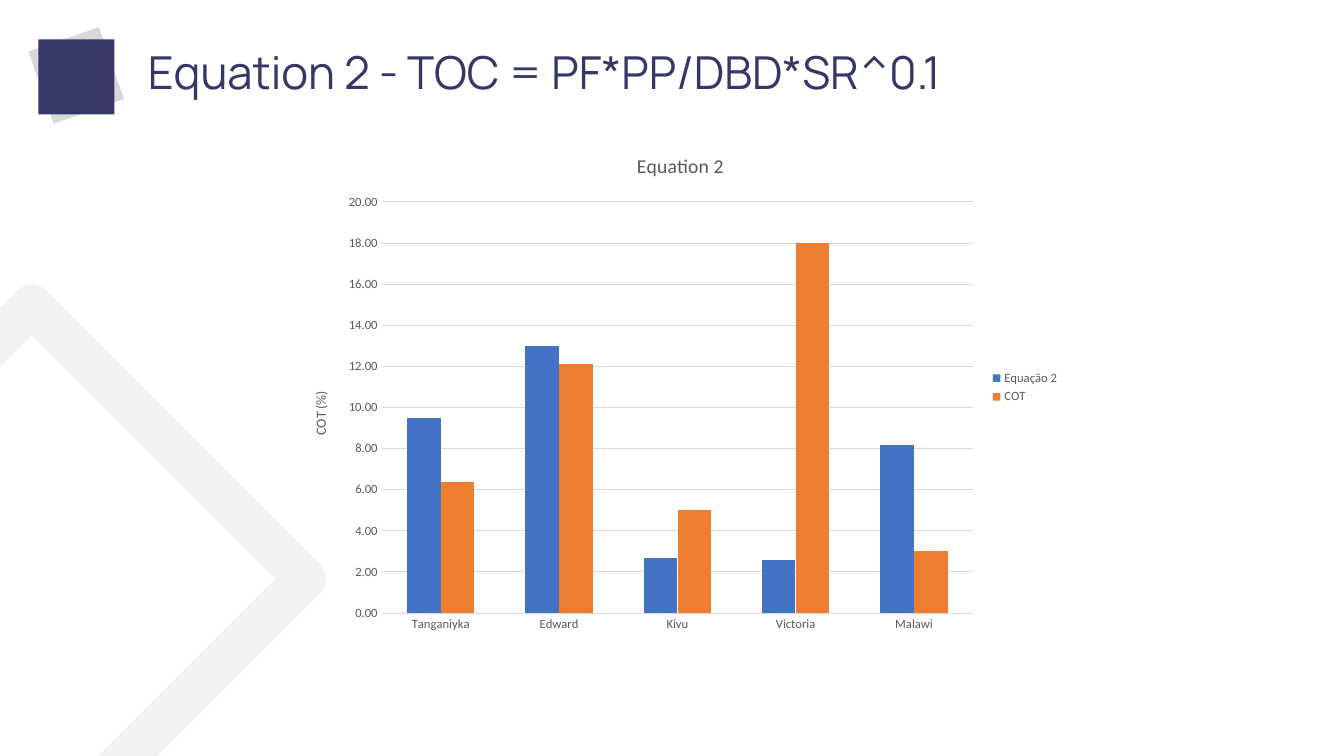
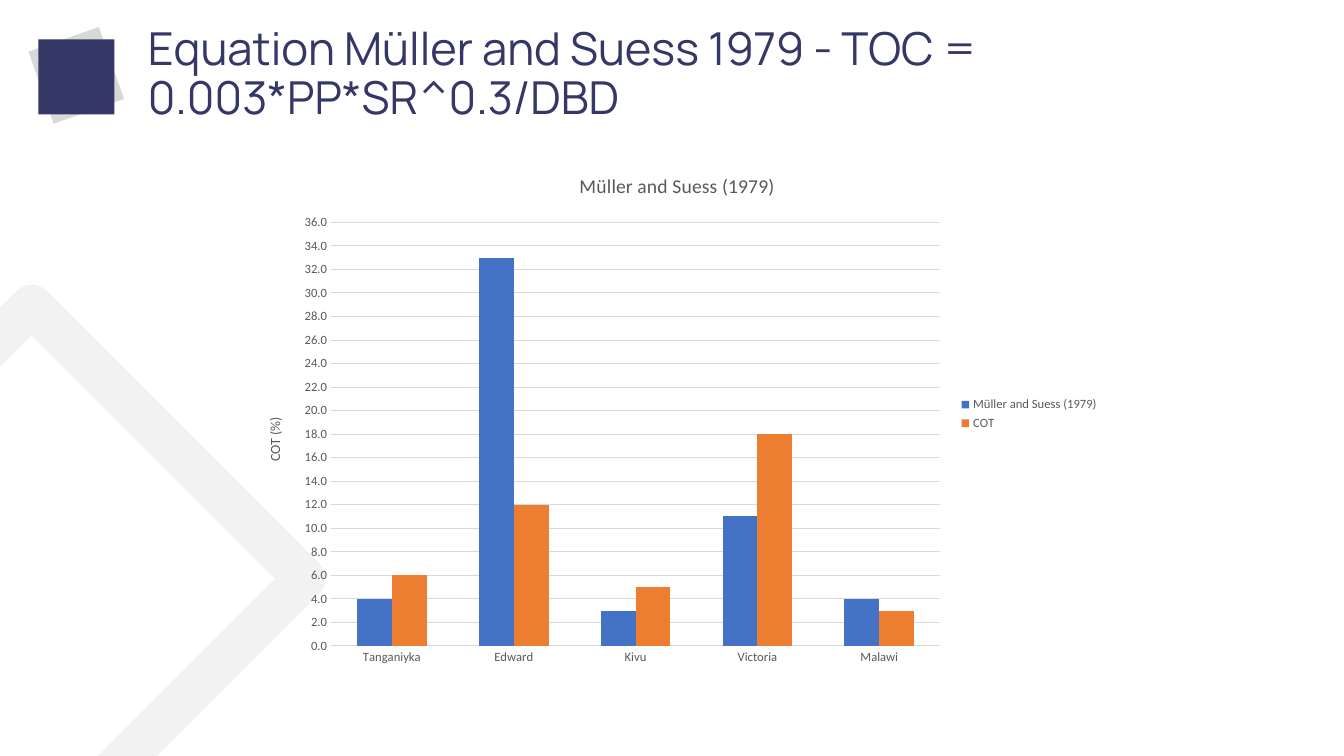
import pptx
import pptx.util
import pptx.chart.data
import pptx.dml.color
import pptx.enum.chart
import pptx.enum.shapes
import pptx.enum.text

Pt = pptx.util.Pt
RGBColor = pptx.dml.color.RGBColor
XL = pptx.enum.chart

# Content
LAKES = ["Tanganiyka", "Edward", "Kivu", "Victoria", "Malawi"]
EQUATIONS = [
    dict(heading="Equation 2 - TOC = PF*PP/DBD*SR^0.1",
         chart_title="Equation 2", model="Equação 2",
         estimates=[9.5, 13, 2.7, 2.6, 8.2],
         measured=[6.4, 12.1, 5, 18, 3],
         top_value=20, number_format="0.00", gap=152, overlap=-1,
         frame=(208, 95, 556, 363.6)),
    dict(heading="Equation Müller and Suess 1979 - TOC = 0.003*PP*SR^0.3/DBD",
         chart_title="Müller and Suess (1979)", model="Müller and Suess (1979)",
         estimates=[4, 33, 3, 11, 4],
         measured=[6, 12, 5, 18, 3],
         top_value=36, number_format="0.0", gap=150, overlap=0,
         frame=(175.2, 109.2, 617, 373)),
]
VALUE_TITLE = "COT (%)"
MEASURED_NAME = "COT"

# Shared look
NAVY = RGBColor(0x35, 0x37, 0x66)
SILVER = RGBColor(0xD8, 0xD8, 0xD8)
PALE = RGBColor(0xF2, 0xF2, 0xF2)
GRID = RGBColor(0xD9, 0xD9, 0xD9)
LABEL = RGBColor(0x59, 0x59, 0x59)
BLUE = RGBColor(0x44, 0x72, 0xC4)
ORANGE = RGBColor(0xED, 0x7D, 0x31)
HEADING_FONT, CHART_FONT = "Manrope", "Calibri"
HEADING_BOX = (98.4, 27, 795.6, 53.3)
# left, top, width, height, rotation, fill, outline
DECORATIONS = [
    (-115.2, 275.5, 275.8, 275.8, 45, None, PALE),
    (27.2, 27.2, 54.5, 53.3, 70.7, SILVER, None),
    (27.4, 28.2, 54.3, 53.5, 0, NAVY, None),
]


def points(lengths):
    return [Pt(length) for length in lengths]


def style_font(font, size, color=LABEL, name=CHART_FONT):
    font.name, font.size, font.bold = name, Pt(size), False
    font.color.rgb = color


def decorate_layout(layout, slide):
    """Draw the squares on a slide, then move them behind the layout's content."""
    for position, (*box, rotation, fill, outline) in enumerate(DECORATIONS, 2):
        square = slide.shapes.add_shape(
            pptx.enum.shapes.MSO_SHAPE.RECTANGLE, *points(box))
        square.rotation = rotation
        square.shadow.inherit = False
        if fill is None:
            square.fill.background()
            square.line.color.rgb = outline
            square.line.width = Pt(30)
        else:
            square.fill.solid()
            square.fill.fore_color.rgb = fill
            square.line.fill.background()
        layout.shapes.element.insert(position, square.element)


def write_heading(slide, text):
    heading = slide.shapes.title
    frame = heading.text_frame
    heading.left, heading.top, heading.width, heading.height = points(HEADING_BOX)
    frame.text = text
    frame.word_wrap = True
    frame.auto_size = pptx.enum.text.MSO_AUTO_SIZE.NONE
    frame.vertical_anchor = pptx.enum.text.MSO_ANCHOR.MIDDLE
    paragraph = frame.paragraphs[0]
    paragraph.alignment = pptx.enum.text.PP_ALIGN.LEFT
    paragraph.line_spacing = 0.9
    style_font(paragraph.runs[0].font, 32.4, NAVY, HEADING_FONT)


def write_chart_title(owner_title, text, size):
    owner_title.text_frame.text = text
    style_font(owner_title.text_frame.paragraphs[0].runs[0].font, size)


def add_comparison(slide, equation):
    data = pptx.chart.data.CategoryChartData(
        number_format=equation["number_format"])
    data.categories = LAKES
    data.add_series(equation["model"], equation["estimates"])
    data.add_series(MEASURED_NAME, equation["measured"])
    chart = slide.shapes.add_chart(
        XL.XL_CHART_TYPE.COLUMN_CLUSTERED, *points(equation["frame"]), data).chart
    style_font(chart.font, 10)

    # Title and legend
    chart.has_title = True
    write_chart_title(chart.chart_title, equation["chart_title"], 14)
    chart.chart_title.include_in_layout = False
    chart.has_legend = True
    chart.legend.position = XL.XL_LEGEND_POSITION.RIGHT
    chart.legend.include_in_layout = False
    style_font(chart.legend.font, 9)

    # Columns
    plot = chart.plots[0]
    plot.vary_by_categories = False
    plot.gap_width, plot.overlap = equation["gap"], equation["overlap"]
    for series, color in zip(plot.series, (BLUE, ORANGE)):
        series.format.fill.solid()
        series.format.fill.fore_color.rgb = color
        series.invert_if_negative = False

    # Axes
    lakes, values = chart.category_axis, chart.value_axis
    for axis in (lakes, values):
        axis.major_tick_mark = axis.minor_tick_mark = XL.XL_TICK_MARK.NONE
        style_font(axis.tick_labels.font, 9)
    values.has_major_gridlines = True
    for line in (lakes.format.line, values.major_gridlines.format.line):
        line.color.rgb = GRID
        line.width = Pt(0.75)
    values.format.line.fill.background()
    values.minimum_scale, values.maximum_scale = 0, equation["top_value"]
    values.major_unit = 2
    values.tick_labels.number_format = equation["number_format"]
    values.tick_labels.number_format_is_linked = False
    values.has_title = True
    write_chart_title(values.axis_title, VALUE_TITLE, 10)


# Build the slides
deck = pptx.Presentation()
deck.slide_width, deck.slide_height = Pt(960), Pt(540)
title_only = deck.slide_layouts[5]
for number, equation in enumerate(EQUATIONS):
    slide = deck.slides.add_slide(title_only)
    if number == 0:
        decorate_layout(title_only, slide)
    write_heading(slide, equation["heading"])
    add_comparison(slide, equation)
deck.save("out.pptx")
